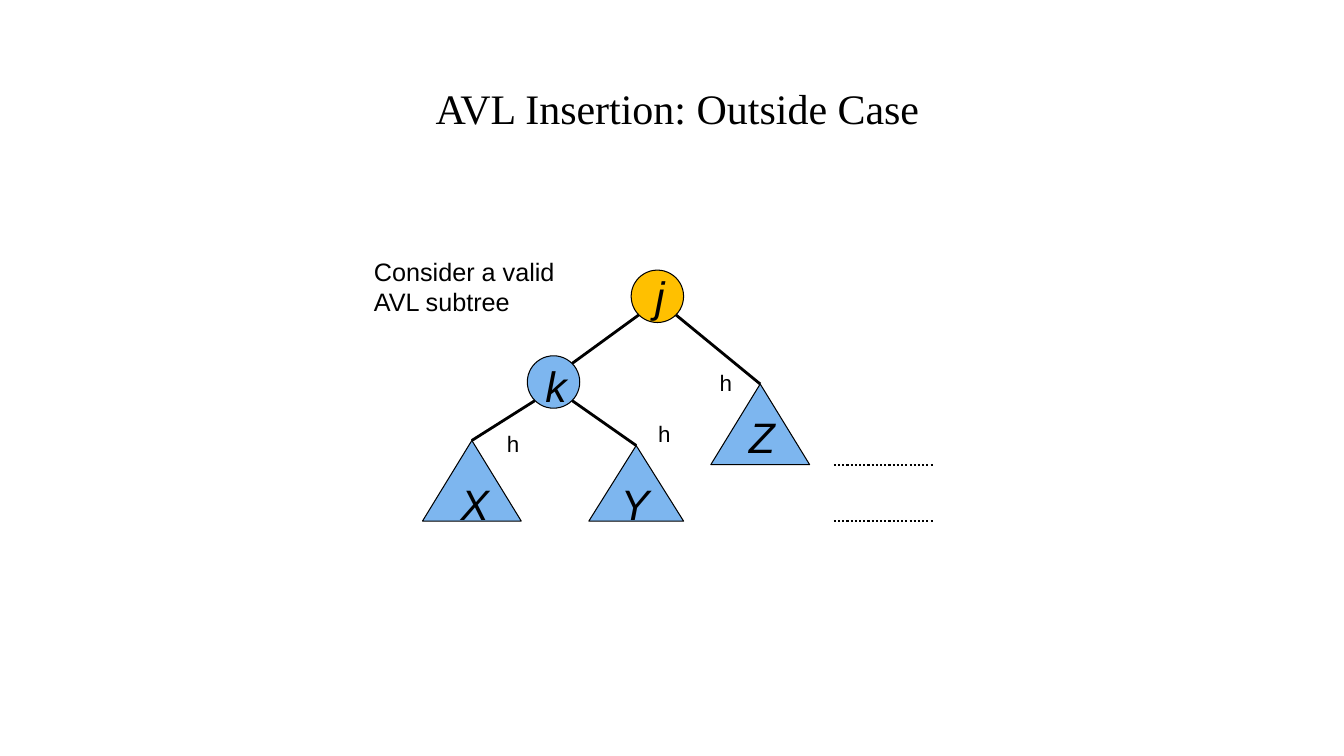
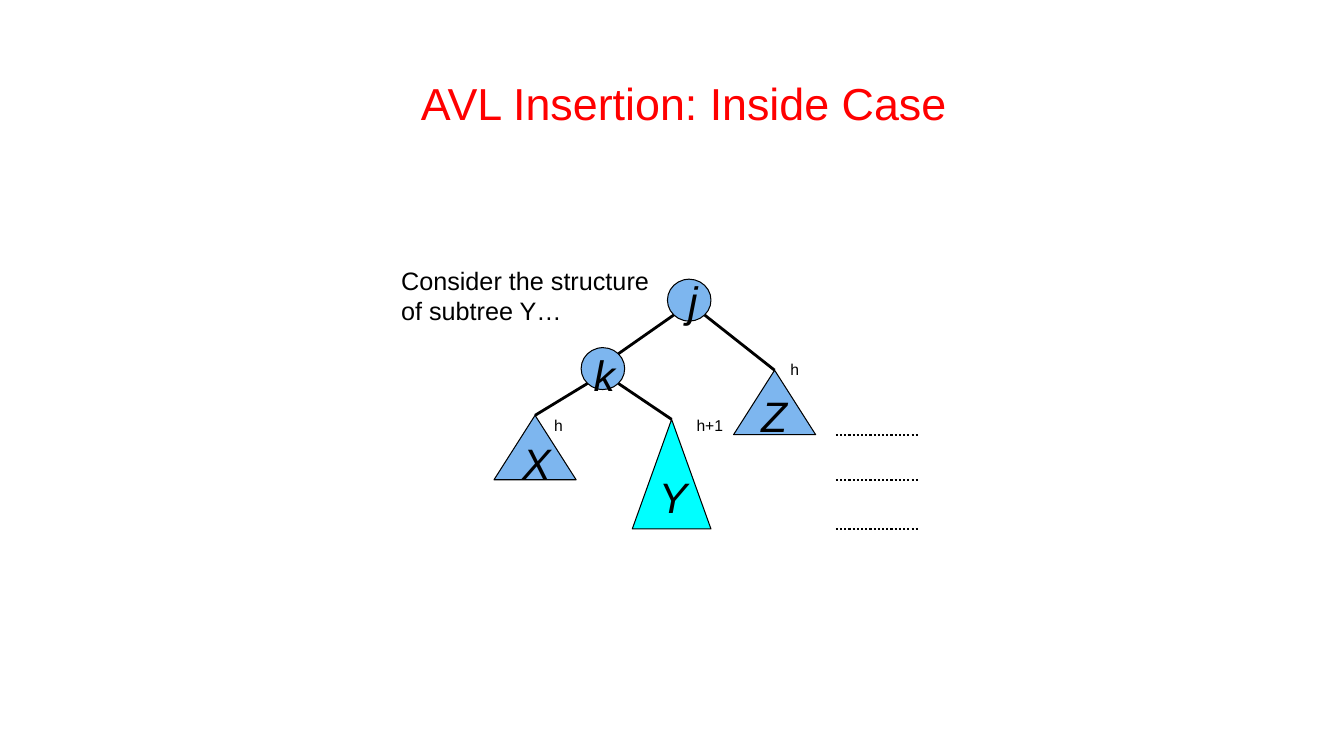
from dataclasses import dataclass

from lxml import etree
from pptx import Presentation
from pptx import util as u
from pptx.dml.color import RGBColor
from pptx.enum import dml, shapes, text
from pptx.oxml.ns import qn

WIDTH, HEIGHT = 13.33, 7.5
COLORS = {"ink": "000000", "node": "7DB6EF", "root": "FFC000",
          "deeper": "00FFFF", "alert": "FF0000"}
SANS, SERIF = "Arial", "Times New Roman"

# Grid of the tree: every part is placed in these columns and rows.
COLUMNS, ROWS = 384, 249
CIRCLE = 52
CIRCLES = {"j": (207, 0), "k": (104, 85)}
SUBTREES = {"X": (0, 169, 98, 80), "Y": (165, 174, 94, 75), "Z": (286, 113, 98, 80)}
EDGES = [("j", "Z"), ("k", "X"), ("k", "Y")]
DIAGONAL = 0.146  # share of a circle's box where its diagonal meets the outline
LEVEL_GAP, LEVEL_LENGTH = 24, 99


@dataclass
class Box:
    left: float
    top: float
    width: float
    height: float

    def inches(self):
        return [u.Inches(n) for n in (self.left, self.top, self.width, self.height)]

    def point(self, column, row):
        return (self.left + column * self.width / COLUMNS,
                self.top + row * self.height / ROWS)

    def cell(self, column, row, columns, rows):
        return Box(*self.point(column, row),
                   columns * self.width / COLUMNS, rows * self.height / ROWS)


def color(name):
    return RGBColor.from_string(COLORS[name])


def add_text(slide, box, lines, size, font=SANS, ink="ink", italic=False,
             align=text.PP_ALIGN.LEFT, anchor=text.MSO_ANCHOR.TOP,
             spacing=1.0, margins=(0.1, 0.05)):
    frame = slide.shapes.add_textbox(*box.inches()).text_frame
    frame.word_wrap = True
    frame.vertical_anchor = anchor
    frame.margin_left = frame.margin_right = u.Inches(margins[0])
    frame.margin_top = u.Inches(margins[1])
    frame.margin_bottom = u.Inches(min(margins))
    frame.text = "\n".join(lines)
    for paragraph in frame.paragraphs:
        paragraph.alignment = align
        paragraph.line_spacing = spacing
        paragraph.font.name = font
        paragraph.font.size = u.Pt(size)
        paragraph.font.italic = italic
        paragraph.font.color.rgb = color(ink)


def add_node(slide, kind, box, fill):
    node = slide.shapes.add_shape(kind, *box.inches())
    node.shadow.inherit = False
    node.fill.solid()
    node.fill.fore_color.rgb = color(fill)
    node.line.color.rgb = color("ink")
    node.line.width = u.Pt(0.75)
    return node


def add_line(slide, start, end, width, dash=None):
    line = slide.shapes.add_connector(
        shapes.MSO_CONNECTOR.STRAIGHT, *[u.Inches(n) for n in (*start, *end)])
    line.line.color.rgb = color("ink")
    line.line.width = u.Pt(width)
    if dash:
        line.line.dash_style = dash
    etree.SubElement(line._element.spPr, qn("a:effectLst"))
    return line


def rim(box, name, right, lower):
    """Point where a circle's diagonal meets its outline."""
    column, row = CIRCLES[name]
    near, far = CIRCLE * DIAGONAL, CIRCLE * (1 - DIAGONAL)
    return box.point(column + (far if right else near), row + (far if lower else near))


def add_tree(slide, box, fills, letters, heights, height_size, y_rows):
    for name, (column, row) in CIRCLES.items():
        add_node(slide, shapes.MSO_SHAPE.OVAL, box.cell(column, row, CIRCLE, CIRCLE),
                 fills.get(name, "node"))

    subtrees = dict(SUBTREES, Y=(*SUBTREES["Y"][:3], y_rows))
    triangles = {name: add_node(slide, shapes.MSO_SHAPE.ISOSCELES_TRIANGLE,
                                box.cell(*place), fills.get(name, "node"))
                 for name, place in subtrees.items()}

    add_line(slide, rim(box, "j", False, True), rim(box, "k", True, False), 2)
    for parent, child in EDGES:
        column, row, columns, _ = subtrees[child]
        edge = add_line(slide, rim(box, parent, child != "X", True),
                        box.point(column + columns / 2, row), 2)
        edge.end_connect(triangles[child], 0)

    for base in sorted({row + rows for _, row, _, rows in subtrees.values()}):
        start = COLUMNS + LEVEL_GAP
        add_line(slide, box.point(start, base), box.point(start + LEVEL_LENGTH, base),
                 1.5, dml.MSO_LINE.ROUND_DOT)

    for letter, place in letters.items():
        add_text(slide, Box(*box.point(*place), 0.31, 0.61), [letter], 30.4,
                 italic=True, margins=(0.1, 0.09))
    for label, *place in heights:
        add_text(slide, Box(*box.point(*place), 0.5, 0.37), [label], height_size)


def add_case(deck, title, title_box, title_style, caption, caption_box, tree_box, **tree):
    slide = deck.slides.add_slide(deck.slide_layouts[6])
    add_text(slide, title_box, [title], anchor=text.MSO_ANCHOR.MIDDLE,
             margins=(0.07, 0.04), **title_style)
    add_text(slide, caption_box, caption, 18)
    add_tree(slide, tree_box, **tree)


def main():
    deck = Presentation()
    deck.slide_width, deck.slide_height = u.Inches(WIDTH), u.Inches(HEIGHT)

    add_case(
        deck, "AVL Insertion: Outside Case", Box(4.25, 0.38, 5.53, 1.45),
        dict(size=30, font=SERIF, spacing=0.9),
        ["Consider a valid", "AVL subtree"], Box(3.61, 2.49, 2.23, 0.71),
        Box(4.19, 2.68, 3.84, 2.49),
        fills={"j": "root"},
        letters={"j": (221, -9), "k": (112, 80), "X": (28, 197),
                 "Y": (187, 197), "Z": (314, 131)},
        heights=[("h", 285, 93), ("h", 74, 154), ("h", 224, 144)],
        height_size=16, y_rows=75)

    add_case(
        deck, "AVL Insertion: Inside Case", Box(3.95, 0.76, 5.67, 0.51),
        dict(size=32, ink="alert", align=text.PP_ALIGN.CENTER),
        ["Consider the structure", "of subtree Y…"], Box(3.88, 2.58, 2.8, 0.71),
        Box(4.9, 2.77, 3.19, 1.99),
        fills={"Y": "deeper"},
        letters={"j": (220, -17), "k": (107, 75), "X": (22, 185),
                 "Y": (185, 227), "Z": (307, 126)},
        heights=[("h", 342, 94), ("h", 60, 164), ("h+1", 230, 164)],
        height_size=11.2, y_rows=136)

    deck.save("out.pptx")


if __name__ == "__main__":
    main()
